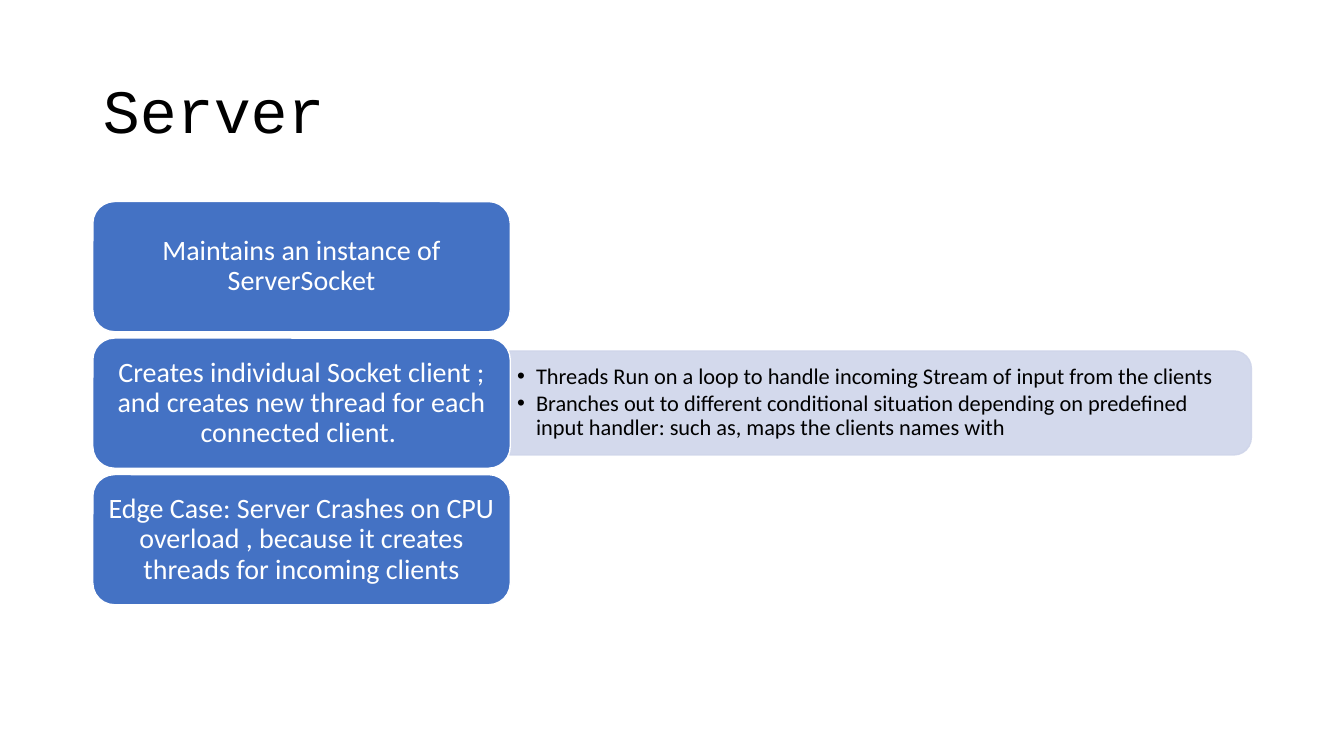
from lxml.etree import SubElement
from pptx import Presentation
from pptx.dml.color import RGBColor
from pptx.enum.shapes import MSO_SHAPE
from pptx.enum.text import MSO_ANCHOR, MSO_AUTO_SIZE, PP_ALIGN
from pptx.oxml.ns import qn
from pptx.util import Cm, Pt

LEFT = 2.34
CARD_TOP, CARD_STEP = 5.08, 3.44
CARD_WIDE, CARD_HIGH = 10.52, 3.28
CARDS = [
    "Maintains an instance of ServerSocket",
    "Creates individual Socket client ; and creates new thread for each connected client. ",
    "Edge Case: Server Crashes on CPU overload , because it creates threads for incoming clients",
]
NOTES = [
    "Threads Run on a loop to handle incoming Stream of input from the clients",
    "Branches out to different conditional situation depending on predefined "
    "input handler: such as, maps the clients names with",
]


def tint(color, code):
    """Set a colour from a hex string."""
    color.rgb = RGBColor.from_string(code)


def assign(item, values):
    """Set every attribute named in a dict."""
    for name, value in values.items():
        setattr(item, name, value)


def place(shape, left, top, width, height):
    """Move and size a shape in centimetres."""
    assign(shape, {"left": Cm(left), "top": Cm(top), "width": Cm(width), "height": Cm(height)})


def write(shape, lines, font, size, code, align, after=0, pad=None):
    """Fill a shape with paragraphs of one format."""
    frame = shape.text_frame
    frame.text = "\n".join(lines)
    assign(frame, {"word_wrap": True, "auto_size": MSO_AUTO_SIZE.NONE,
                   "vertical_anchor": MSO_ANCHOR.MIDDLE})
    if pad:
        side, edge = map(Cm, pad)
        assign(frame, {"margin_left": side, "margin_right": side,
                       "margin_top": edge, "margin_bottom": edge})
    for para in frame.paragraphs:
        assign(para, {"alignment": align, "line_spacing": 0.9,
                      "space_before": Pt(0), "space_after": Pt(after)})
        for run in para.runs:
            assign(run.font, {"name": font, "size": Pt(size)})
            tint(run.font.color, code)


def draw(slide, kind, box, fill, line):
    """Add a flat filled shape with a thin outline."""
    shape = slide.shapes.add_shape(kind, *map(Cm, box))
    shape.shadow.inherit = False
    shape.fill.solid()
    tint(shape.fill.fore_color, fill)
    tint(shape.line.color, line)
    shape.line.width = Pt(1)
    return shape


def add_card(slide, row, text):
    """Add one blue card of the left column."""
    box = (LEFT, CARD_TOP + row * CARD_STEP, CARD_WIDE, CARD_HIGH)
    card = draw(slide, MSO_SHAPE.ROUNDED_RECTANGLE, box, "4472C4", "FFFFFF")
    write(card, [text], "Calibri", 20, "FFFFFF", PP_ALIGN.CENTER, pad=(0.2, 0.1))


def add_panel(slide):
    """Add the pale panel that leads off the middle card."""
    box = (20.88, 0.81, 2.62, 18.69)
    panel = draw(slide, MSO_SHAPE.ROUND_2_SAME_RECTANGLE, box, "CFD5EA", "CFD5EA")
    panel.rotation = 90
    for color in panel.element.spPr.iter(qn("a:srgbClr")):
        SubElement(color, qn("a:alpha"), val="90000")


def set_notes(body):
    """Lay the bulleted list over the panel."""
    place(body, 12.85, 8.97, 18.57, 2.36)
    write(body, NOTES, "Calibri", 16, "000000", PP_ALIGN.LEFT, after=2, pad=(0.18, 0.08))
    for para in body.text_frame.paragraphs:
        props = para._p.get_or_add_pPr()
        props.set("marL", str(Cm(0.48)))
        props.set("indent", str(-Cm(0.48)))
    body.element.getparent().append(body.element)


def main():
    """Build the slide and save it."""
    deck = Presentation()
    assign(deck, {"slide_width": Cm(33.87), "slide_height": Cm(19.05)})
    slide = deck.slides.add_slide(deck.slide_layouts[1])
    title, body = slide.placeholders
    place(title, LEFT, 1.02, 29.21, 3.68)
    write(title, ["Server"], "Courier New", 44, "000000", PP_ALIGN.LEFT)
    add_panel(slide)
    for row, text in enumerate(CARDS):
        add_card(slide, row, text)
    set_notes(body)
    deck.save("out.pptx")


if __name__ == "__main__":
    main()
